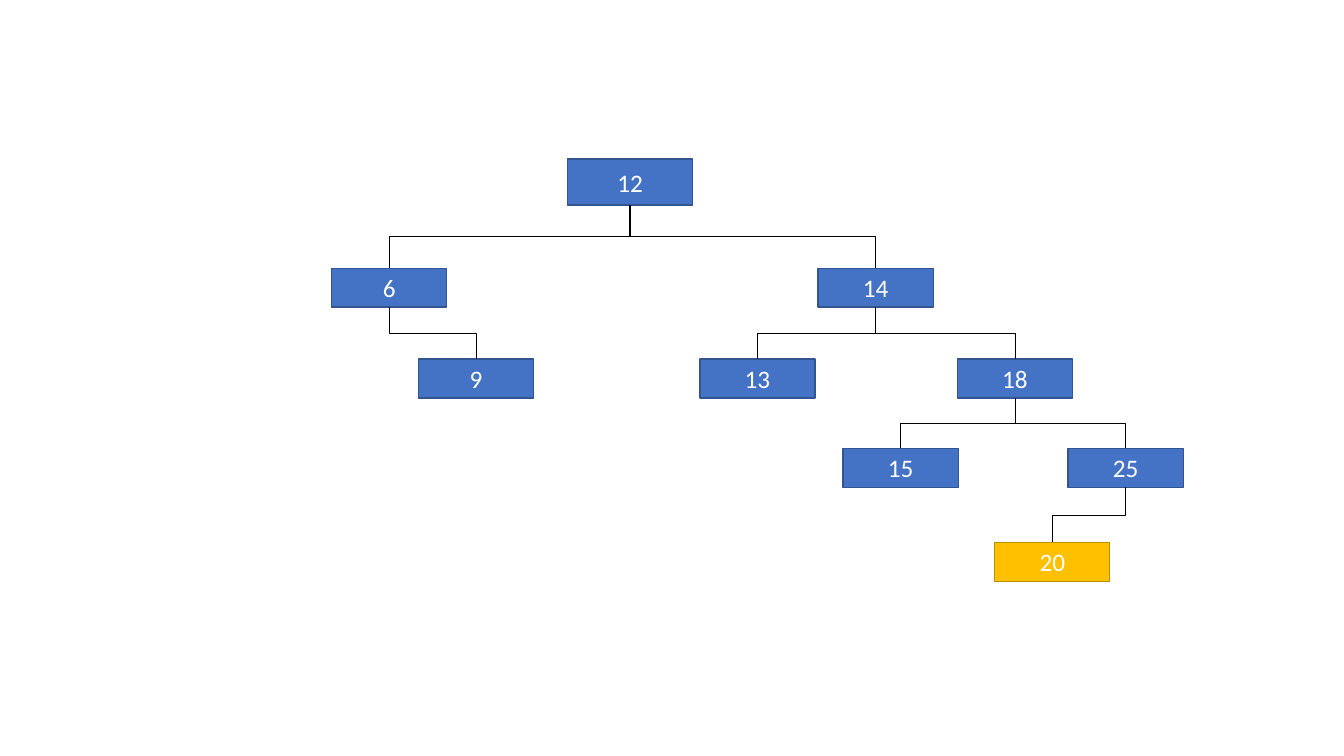
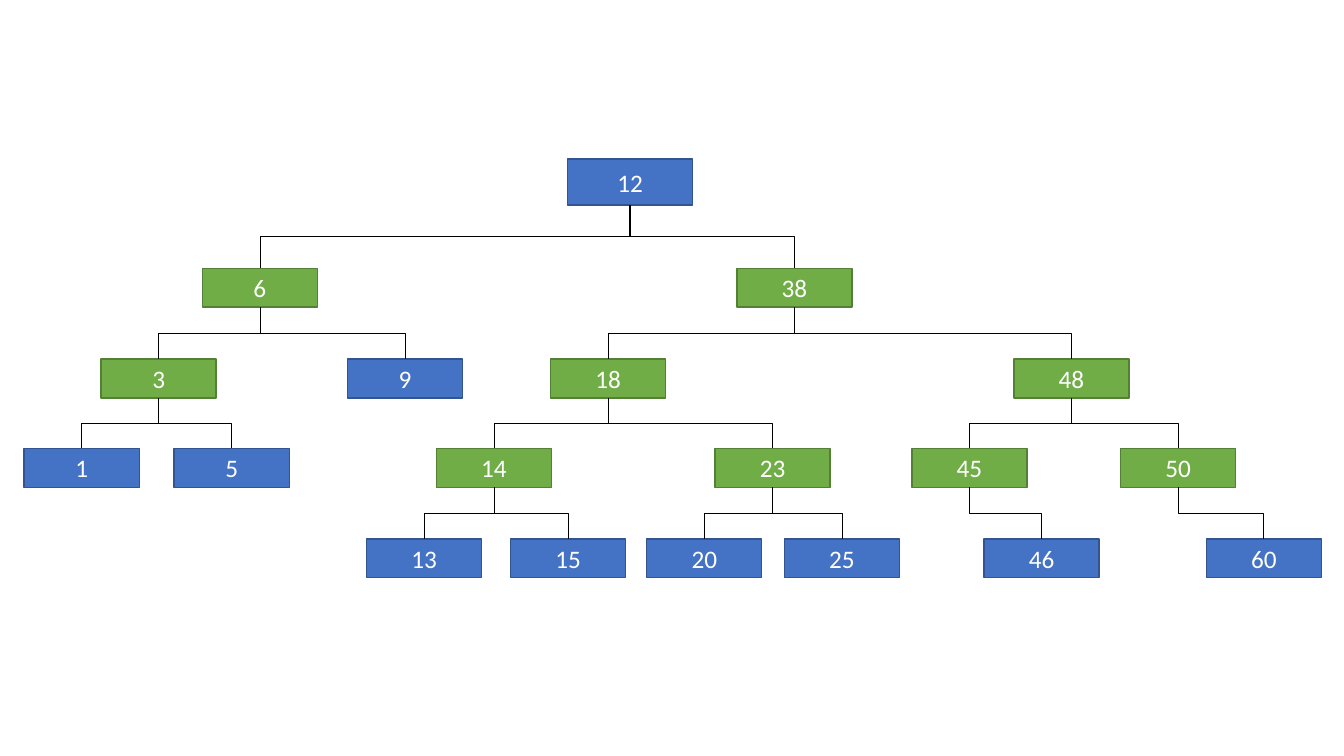
"""Draw two binary search trees, one per slide."""
from dataclasses import dataclass

from lxml import etree
from pptx import Presentation
from pptx.dml.color import RGBColor
from pptx.enum.shapes import MSO_CONNECTOR, MSO_SHAPE
from pptx.enum.text import MSO_ANCHOR, PP_ALIGN
from pptx.oxml.ns import qn
from pptx.util import Cm, Pt

RECT = MSO_SHAPE.RECTANGLE
ELBOW = MSO_CONNECTOR.ELBOW
MIDDLE = MSO_ANCHOR.MIDDLE
CENTER = PP_ALIGN.CENTER
BOTTOM_SITE, TOP_SITE = 2, 0


@dataclass(frozen=True)
class Theme:
    """Colours as (fill, outline), sizes in cm and line widths in points."""
    blue: tuple = ("4472C4", "325491")
    green: tuple = ("70AD47", "538035")
    gold: tuple = ("FFC000", "BD8E00")
    text: str = "FFFFFF"
    link: str = "000000"
    font: str = "Calibri"
    text_size: int = 18
    border: float = 1
    thin: float = 0.5
    root_size: tuple = (3.16, 1.16)
    node_size: tuple = (2.9, 0.98)


@dataclass(frozen=True)
class Node:
    """A tree node: its value, centre in cm, colours and children."""
    value: int
    x: float
    colours: tuple
    left: "Node" = None
    right: "Node" = None


THEME = Theme()
BLUE, GREEN, GOLD = THEME.blue, THEME.green, THEME.gold
UPPER_TOPS = [4.01, 6.76, 9.05, 11.3]

INSERTED = Node(
    12, 15.88, BLUE,
    Node(6, 9.81, BLUE, right=Node(9, 12, BLUE)),
    Node(14, 22.07, BLUE,
         Node(13, 19.09, BLUE),
         Node(18, 25.58, BLUE,
              Node(15, 22.7, BLUE),
              Node(25, 28.37, BLUE, left=Node(20, 26.52, GOLD)))))

BALANCED = Node(
    12, 15.88, BLUE,
    Node(6, 6.55, GREEN,
         Node(3, 4, GREEN, Node(1, 2.06, BLUE), Node(5, 5.84, BLUE)),
         Node(9, 10.21, BLUE)),
    Node(38, 20.02, GREEN,
         Node(18, 15.33, GREEN,
              Node(14, 12.45, GREEN,
                   Node(13, 10.69, BLUE), Node(15, 14.32, BLUE)),
              Node(23, 19.47, GREEN,
                   Node(20, 17.75, BLUE), Node(25, 21.22, BLUE))),
         Node(48, 27, GREEN,
              Node(45, 24.43, GREEN, right=Node(46, 26.25, BLUE)),
              Node(50, 29.69, GREEN, right=Node(60, 31.85, BLUE)))))


def apply(target, formats):
    """Set each attribute of target from a dict."""
    for name, value in formats.items():
        setattr(target, name, value)


def add_box(s, node, top, size):
    """Add the labelled rectangle of a node."""
    width, height = size
    sp = s.shapes.add_shape(RECT, Cm(node.x - width / 2), Cm(top),
                            Cm(width), Cm(height))
    sp.shadow.inherit = False
    fill, outline = node.colours
    sp.fill.solid()
    sp.fill.fore_color.rgb = RGBColor.from_string(fill)
    sp.line.color.rgb = RGBColor.from_string(outline)
    sp.line.width = Pt(THEME.border)
    tf = sp.text_frame
    tf.vertical_anchor = MIDDLE
    p = tf.paragraphs[0]
    p.alignment = CENTER
    r = p.add_run()
    r.text = str(node.value)
    apply(r.font, {"name": THEME.font, "size": Pt(THEME.text_size)})
    r.font.color.rgb = RGBColor.from_string(THEME.text)
    return sp


def add_link(s, parent, child, width):
    """Join the bottom of parent to the top of child with a vertical elbow."""
    x1, y1 = parent.left + parent.width // 2, parent.top + parent.height
    x2, y2 = child.left + child.width // 2, child.top
    drop, span = y2 - y1, abs(x2 - x1)
    cx = s.shapes.add_connector(ELBOW, x1, y1, x2, y2)
    cx.begin_connect(parent, BOTTOM_SITE)
    cx.end_connect(child, TOP_SITE)
    # The preset leaves sideways, so it is turned to leave downwards.
    apply(cx, {"left": (x1 + x2 - drop) // 2, "top": (y1 + y2 - span) // 2,
               "width": drop, "height": span})
    to_right = x2 > x1
    apply(cx.element.spPr.xfrm, {"rot": 270 if to_right else 90,
                                 "flipH": to_right, "flipV": False})
    cx.line.color.rgb = RGBColor.from_string(THEME.link)
    cx.line.width = Pt(width)
    etree.SubElement(cx.element.spPr, qn("a:effectLst"))


def add_tree(s, node, tops, level=0):
    """Add a node and, below it, its linked subtrees; return its box."""
    is_root = level == 0
    size = THEME.root_size if is_root else THEME.node_size
    box = add_box(s, node, tops[level], size)
    for child in filter(None, (node.left, node.right)):
        child_box = add_tree(s, child, tops, level + 1)
        heavy = is_root and child is node.right
        add_link(s, box, child_box, THEME.border if heavy else THEME.thin)
    return box


def main():
    """Build the deck."""
    prs = Presentation()
    apply(prs, {"slide_width": Cm(33.87), "slide_height": Cm(19.05)})
    blank = prs.slide_layouts[6]
    for tree, last_top in ((INSERTED, 13.67), (BALANCED, 13.58)):
        s = prs.slides.add_slide(blank)
        add_tree(s, tree, UPPER_TOPS + [last_top])
    prs.save("out.pptx")


main()
